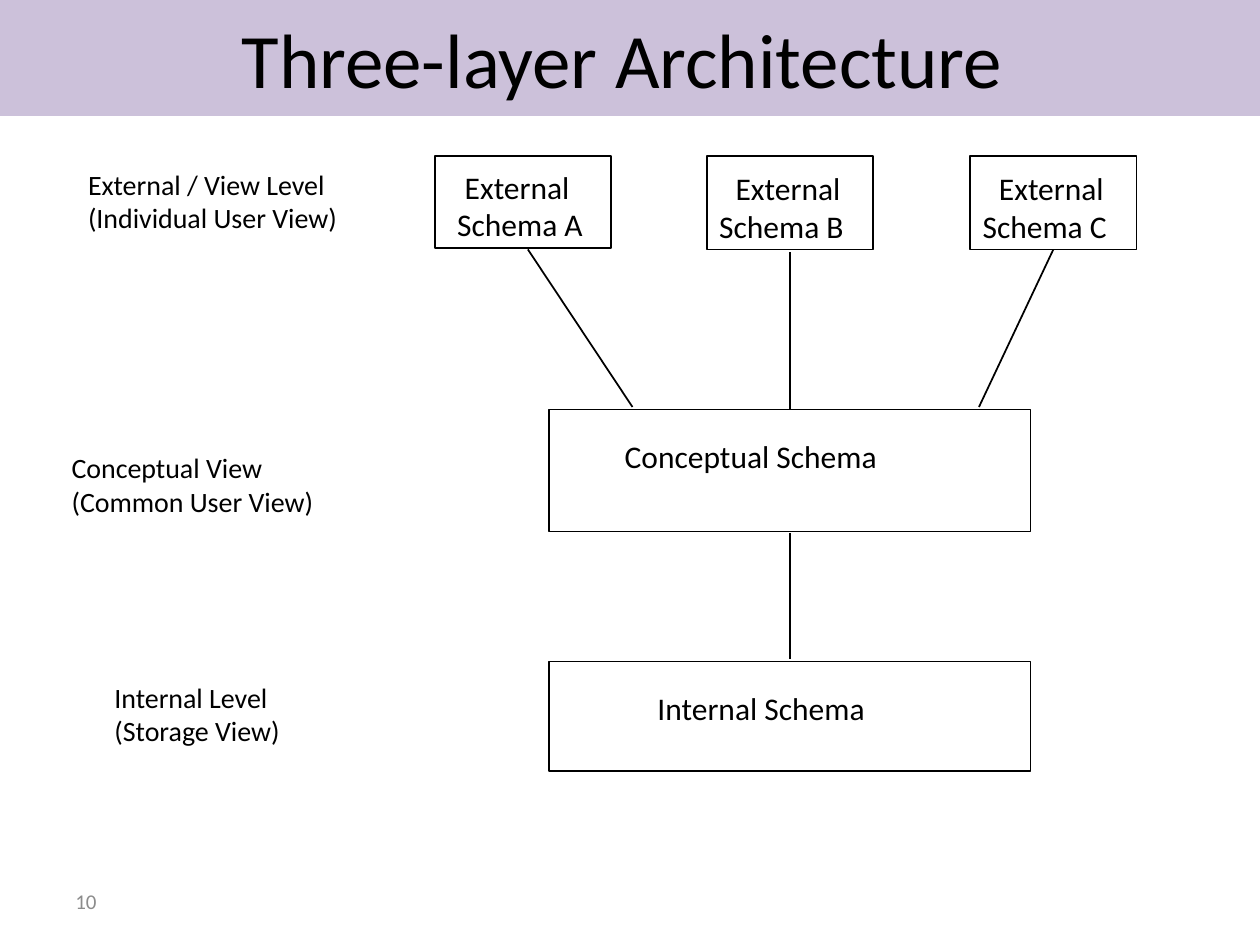
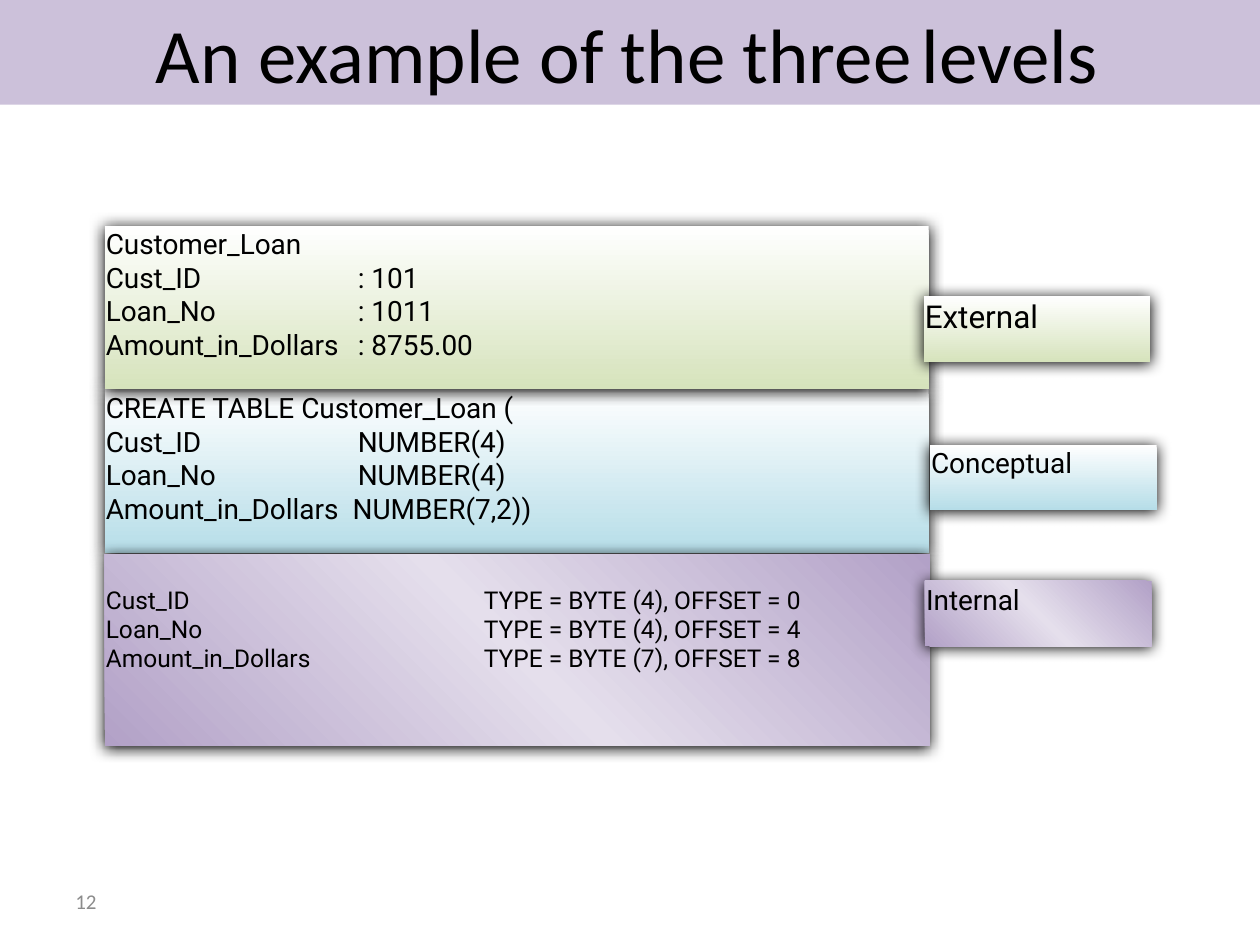
from lxml import etree
from pptx import Presentation
from pptx.dml.color import RGBColor
from pptx.enum.shapes import MSO_CONNECTOR, MSO_SHAPE
from pptx.enum.text import MSO_ANCHOR, MSO_AUTO_SIZE, PP_ALIGN
from pptx.oxml.ns import qn
from pptx.util import Inches, Pt

RECTANGLE = MSO_SHAPE.RECTANGLE
STRAIGHT = MSO_CONNECTOR.STRAIGHT
TOP, MIDDLE = MSO_ANCHOR.TOP, MSO_ANCHOR.MIDDLE
LEFT, CENTER = PP_ALIGN.LEFT, PP_ALIGN.CENTER
NO_FIT = MSO_AUTO_SIZE.NONE

COLOURS = {
    "ink": "000000", "band": "CCC1DA", "number": "8C8C8C", "accent": "C0504D",
    "white": "FFFFFF", "green": "D6E3BC", "blue": "B6DDE8",
    "purple": "B2A1C7", "lilac": "E5DFEC",
}
BODY_FONT, CODE_FONT = "Calibri", "Roboto"
DEFAULT_INSETS = (0.1, 0.05, 0.1, 0.05)
THIN_INSETS = (0.01, 0.01, 0.01, 0.01)

# Each level: gradient stops (percent, colour) and angle in degrees
GRADIENTS = {
    "External": ([(0, "white"), (100, "green")], 90),
    "Conceptual": ([(0, "white"), (100, "blue")], 90),
    "Internal": ([(0, "purple"), (50, "lilac"), (100, "purple")], 315),
}


def rgb(name):
    return RGBColor.from_string(COLOURS[name])


def inches(values):
    return [Inches(value) for value in values]


def set_frame(frame, insets=DEFAULT_INSETS, anchor=TOP):
    frame.word_wrap = True
    frame.auto_size = NO_FIT
    frame.vertical_anchor = anchor
    (frame.margin_left, frame.margin_top,
     frame.margin_right, frame.margin_bottom) = inches(insets)


def add_span(para, text, size, font=BODY_FONT, colour="ink"):
    span = para.add_run()
    span.text = text
    span.font.size = Pt(size)
    span.font.name = font
    span.font.color.rgb = rgb(colour)


def add_tab_stop(para, position):
    stops = etree.SubElement(para._p.get_or_add_pPr(), qn("a:tabLst"))
    etree.SubElement(stops, qn("a:tab"), pos=str(Inches(position)), algn="l")


def indent(para, distance):
    para._p.get_or_add_pPr().set("marL", str(Inches(distance)))


def write_lines(frame, lines, size, font=BODY_FONT, colour="ink"):
    """Write one paragraph per line and return the paragraphs."""
    paras = []
    for line in lines:
        para = frame.add_paragraph() if paras else frame.paragraphs[0]
        para.alignment = LEFT
        add_span(para, line, size, font, colour)
        paras.append(para)
    return paras


def add_text(page, box, lines, size, first_indent=0, insets=DEFAULT_INSETS,
             anchor=TOP, colour="ink"):
    frame = page.shapes.add_textbox(*inches(box)).text_frame
    set_frame(frame, insets, anchor)
    paras = write_lines(frame, lines, size, colour=colour)
    if first_indent:
        indent(paras[0], first_indent)


# Shared parts: title band and slide number
def add_page(deck, box, title_spans, number, insets=DEFAULT_INSETS):
    page = deck.slides.add_slide(deck.slide_layouts[5])
    title = page.shapes.title
    title.left, title.top, title.width, title.height = inches(box)
    title.fill.solid()
    title.fill.fore_color.rgb = rgb("band")
    set_frame(title.text_frame, insets, MIDDLE)
    para = title.text_frame.paragraphs[0]
    para.alignment = CENTER
    for text, size, colour in title_spans:
        add_span(para, text, size, colour=colour)
    add_text(page, (0.5, 6.95, 2.33, 0.4), [number], 12,
             anchor=MIDDLE, colour="number")
    return page


# Architecture diagram
def add_outline(page, box):
    outline = page.shapes.add_shape(RECTANGLE, *inches(box))
    outline.shadow.inherit = False
    outline.fill.background()
    outline.line.color.rgb = rgb("ink")
    outline.line.width = Pt(1)


def add_link(page, start, end):
    link = page.shapes.add_connector(STRAIGHT, *inches(start + end))
    link.line.color.rgb = rgb("ink")
    link.line.width = Pt(1)
    etree.SubElement(link._element.spPr, qn("a:effectLst"))


def add_external_schema(page, box, letter, text_offset, first_indent):
    left, top, _, _ = box
    dx, dy = text_offset
    add_outline(page, box)
    add_text(page, (left + dx, top + dy, 1.42, 0.74),
             ["External", f"Schema {letter}"], 18, first_indent,
             insets=(0.1, 0.08, 0.1, 0.05))


def add_wide_schema(page, box, name, text_indent):
    left, top, width, _ = box
    add_outline(page, box)
    add_text(page, (left, top + 0.17, width, 0.4), [name], 18, text_indent)


def build_architecture(deck):
    page = add_page(deck, (-0.02, -0.01, 10.02, 0.93),
                    [("Three-layer Architecture", 44, "ink")], "10",
                    insets=(0, 0.05, 0.1, 0.05))

    # Schemas
    add_wide_schema(page, (4.36, 3.25, 3.82, 0.97), "Conceptual Schema", 0.5)
    add_wide_schema(page, (4.36, 5.25, 3.82, 0.87), "Internal Schema", 0.76)
    add_external_schema(page, (3.45, 1.24, 1.4, 0.73), "A", (0.08, 0.01), 0.06)
    for left, letter in ((5.61, "B"), (7.7, "C")):
        add_external_schema(page, (left, 1.24, 1.32, 0.74), letter,
                            (0, 0.02), 0.13)

    # Links between levels
    centre = 6.27
    for start, end in (((4.19, 1.98), (5.02, 3.23)),
                       ((centre, 2), (centre, 3.25)),
                       ((8.36, 1.98), (7.77, 3.23)),
                       ((centre, 4.23), (centre, 5.23))):
        add_link(page, start, end)

    # Level names
    for left, top, width, lines in (
            (0.6, 1.28, 2.51, ["External / View Level", "(Individual User View)"]),
            (0.47, 3.53, 2.44, ["Conceptual View", "(Common User View)"]),
            (0.81, 5.35, 1.75, ["Internal Level", "(Storage View)"])):
        add_text(page, (left, top, width, 0.77), lines, 16)


# Three levels example
def paint_level(panel, level):
    """Give a panel the gradient of its level and a soft shadow."""
    stops, angle = GRADIENTS[level]
    panel.line.fill.background()
    properties = panel._element.spPr
    gradient = etree.Element(qn("a:gradFill"), rotWithShape="1")
    stop_list = etree.SubElement(gradient, qn("a:gsLst"))
    for percent, colour in stops:
        stop = etree.SubElement(stop_list, qn("a:gs"), pos=str(percent * 1000))
        etree.SubElement(stop, qn("a:srgbClr"), val=COLOURS[colour])
    etree.SubElement(gradient, qn("a:lin"), ang=str(angle * 60000), scaled="0")
    properties.find(qn("a:prstGeom")).addnext(gradient)

    effects = etree.SubElement(properties, qn("a:effectLst"))
    shadow = etree.SubElement(effects, qn("a:outerShdw"), blurRad=str(Pt(8.5)),
                              dist=str(Pt(1)), dir="5400000", rotWithShape="0")
    etree.SubElement(shadow, qn("a:srgbClr"), val=COLOURS["ink"])


def add_panel(group, box, level, lines, size, insets=THIN_INSETS):
    panel = group.shapes.add_shape(RECTANGLE, *inches(box))
    paint_level(panel, level)
    set_frame(panel.text_frame, insets)
    return write_lines(panel.text_frame, lines, size, CODE_FONT)


def build_example(deck):
    page = add_page(deck, (-0.05, 0, 10.05, 0.83),
                    [("An example of the three", 44, "ink"),
                     (" ", 24, "accent"), ("levels", 44, "ink")], "12")
    group = page.shapes.add_group_shape()

    # Definitions: box, level, lines, size, top inset, tab stop of each line
    definitions = (
        ((0.83, 3.09, 6.54, 1.3), "Conceptual",
         ["CREATE TABLE Customer_Loan (", "Cust_ID\tNUMBER(4)",
          "Loan_No\tNUMBER(4)", "Amount_in_Dollars\tNUMBER(7,2))"],
         16, 0.01, (2, 2, 2, 1.96)),
        ((0.83, 1.79, 6.54, 1.3), "External",
         ["Customer_Loan", "Cust_ID\t: 101", "Loan_No\t: 1011",
          "Amount_in_Dollars\t: 8755.00"],
         16, 0.01, (2, 2, 2, 2)),
        ((0.83, 4.4, 6.55, 1.52), "Internal",
         ["Cust_ID\tTYPE = BYTE (4), OFFSET = 0",
          "Loan_No\tTYPE = BYTE (4), OFFSET = 4",
          "Amount_in_Dollars\tTYPE = BYTE (7), OFFSET = 8"],
         14, 0.24, (3, 3, 3)),
    )
    for box, level, lines, size, top_inset, stops in definitions:
        paras = add_panel(group, box, level, lines, size,
                          (0.01, top_inset, 0.01, 0.01))
        for para, stop in zip(paras, stops):
            add_tab_stop(para, stop)

    # Level tags
    for left, top, level, size in ((7.38, 3.53, "Conceptual", 16),
                                   (7.33, 2.35, "External", 18),
                                   (7.34, 4.61, "Internal", 16)):
        add_panel(group, (left, top, 1.8, 0.52), level, [level], size)


def main():
    deck = Presentation()
    deck.slide_width, deck.slide_height = Inches(10), Inches(7.5)
    build_architecture(deck)
    build_example(deck)
    deck.save("out.pptx")


if __name__ == "__main__":
    main()
